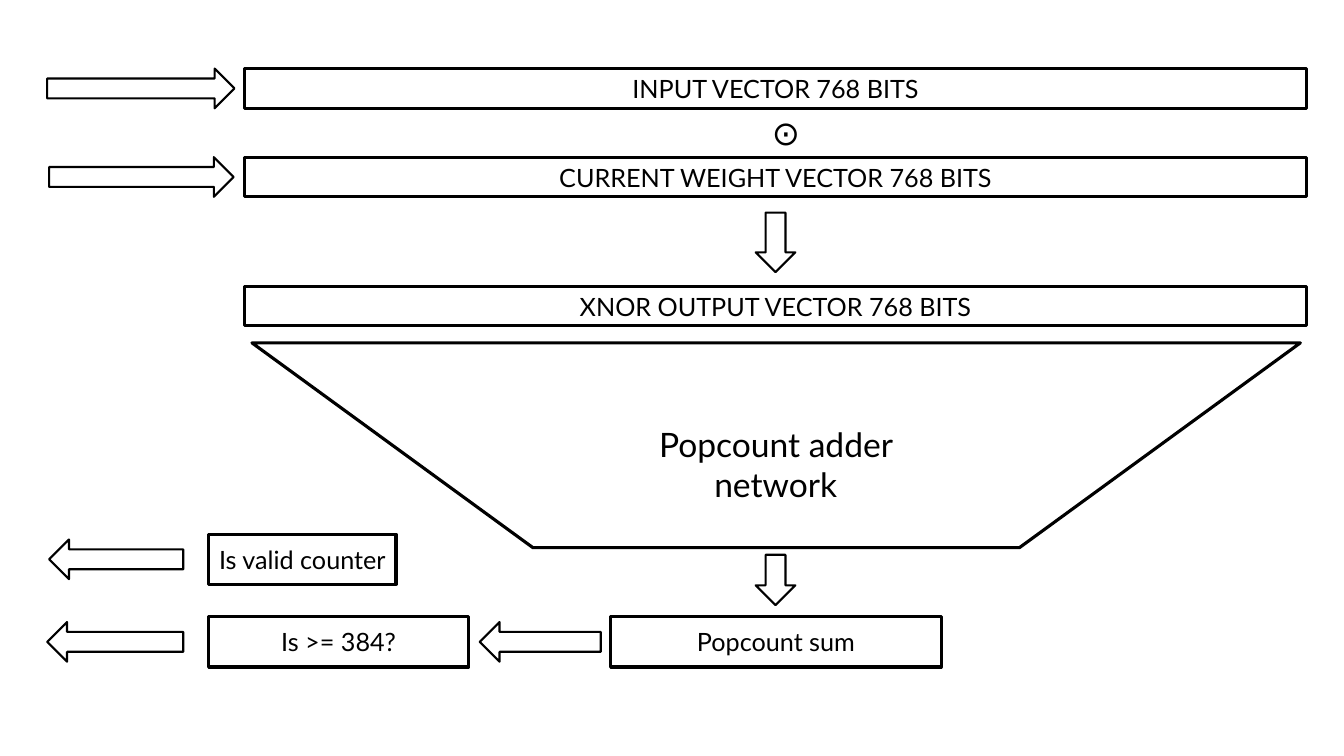
from pptx import Presentation
from pptx.dml.color import RGBColor
from pptx.enum.shapes import MSO_SHAPE
from pptx.enum.text import MSO_ANCHOR, MSO_AUTO_SIZE, PP_ALIGN
from pptx.util import Cm, Pt

RECT, TRAPEZOID = MSO_SHAPE.RECTANGLE, MSO_SHAPE.TRAPEZOID
RIGHT, LEFT, DOWN = MSO_SHAPE.RIGHT_ARROW, MSO_SHAPE.LEFT_ARROW, MSO_SHAPE.DOWN_ARROW
CENTER, MIDDLE = PP_ALIGN.CENTER, MSO_ANCHOR.MIDDLE
GROW = MSO_AUTO_SIZE.SHAPE_TO_FIT_TEXT

# Lengths in cm
BAR_X, BAR_W, BAR_H = 6.17, 26.75, 1.0
BOX_X, BOX_H = 5.26, 1.27
ARROW_H = 1.0
AXIS_X = BAR_X + BAR_W / 2


def color(hex_value):
    return RGBColor.from_string(hex_value)


class Diagram:
    ink, paper, font = "000000", "FFFFFF", "Lato"

    def __init__(self, slide):
        self.s = slide

    def set_text(self, shape, text, size, font=None):
        tf = shape.text_frame
        tf.word_wrap = True
        p = tf.paragraphs[0]
        p.text = text
        p.alignment = CENTER
        p.font.name = font or self.font
        p.font.size = Pt(size)
        p.font.color.rgb = color(self.ink)
        return tf

    def shape(self, kind, x, y, w, h, line=2.25):
        sp = self.s.shapes.add_shape(kind, Cm(x), Cm(y), Cm(w), Cm(h))
        sp.shadow.inherit = False
        sp.fill.solid()
        sp.fill.fore_color.rgb = color(self.paper)
        sp.line.color.rgb = color(self.ink)
        sp.line.width = Pt(line)
        return sp

    def box(self, text, x, y, w, h):
        sp = self.shape(RECT, x, y, w, h)
        self.set_text(sp, text, 18).vertical_anchor = MIDDLE

    def side_arrow(self, kind, x, row_y, w, row_h):
        """Horizontal arrow centred on the height of its row."""
        self.shape(kind, x, row_y + (row_h - ARROW_H) / 2, w, ARROW_H, 1.5)

    def down_arrow(self, y, h):
        self.shape(DOWN, AXIS_X - ARROW_H / 2, y, ARROW_H, h, 1.5)

    def funnel(self, text):
        sp = self.shape(TRAPEZOID, 6.35, 8.64, 26.42, 5.16)
        sp.adjustments[0] = 1.372
        sp.rotation = 180
        # Upright label area inside the funnel
        label = self.shape(TRAPEZOID, 13.82, 8.36, 11.46, 5.61)
        label.adjustments[0] = 0.58
        label.fill.background()
        label.line.fill.background()
        self.set_text(label, text, 24).vertical_anchor = MIDDLE

    def symbol(self, text, x, y, w, h):
        tb = self.s.shapes.add_textbox(Cm(x), Cm(y), Cm(w), Cm(h))
        self.set_text(tb, text, 24, "Cabin").auto_size = GROW


def main():
    prs = Presentation()
    prs.slide_width, prs.slide_height = Cm(33.87), Cm(19.05)
    d = Diagram(prs.slides.add_slide(prs.slide_layouts[6]))

    # Vectors
    input_y, weight_y, xnor_y = 1.73, 3.96, 7.21
    for text, y in (("INPUT VECTOR 768 BITS", input_y),
                    ("CURRENT WEIGHT VECTOR 768 BITS", weight_y),
                    ("XNOR OUTPUT VECTOR 768 BITS", xnor_y)):
        d.box(text, BAR_X, y, BAR_W, BAR_H)
    d.symbol("⊙", 19.2, 2.69, 0.69, 1.27)

    # Adder network
    d.funnel("Popcount adder network")

    # Result boxes
    valid_y, sum_y = 13.46, 15.54
    for text, x, y, w in (("Is valid counter", BOX_X, valid_y, 4.72),
                          ("Is >= 384?", BOX_X, sum_y, 6.55),
                          ("Popcount sum", 15.39, sum_y, 8.33)):
        d.box(text, x, y, w, BOX_H)

    # Arrows
    for kind, x, y, w, h in ((RIGHT, 1.19, input_y, 4.72, BAR_H),
                             (RIGHT, 1.24, weight_y, 4.65, BAR_H),
                             (LEFT, 1.24, valid_y, 3.38, BOX_H),
                             (LEFT, 1.19, sum_y, 3.43, BOX_H),
                             (LEFT, 12.09, sum_y, 3.05, BOX_H)):
        d.side_arrow(kind, x, y, w, h)
    for y, h in ((5.36, 1.5), (13.98, 1.27)):
        d.down_arrow(y, h)

    prs.save("out.pptx")


if __name__ == "__main__":
    main()
